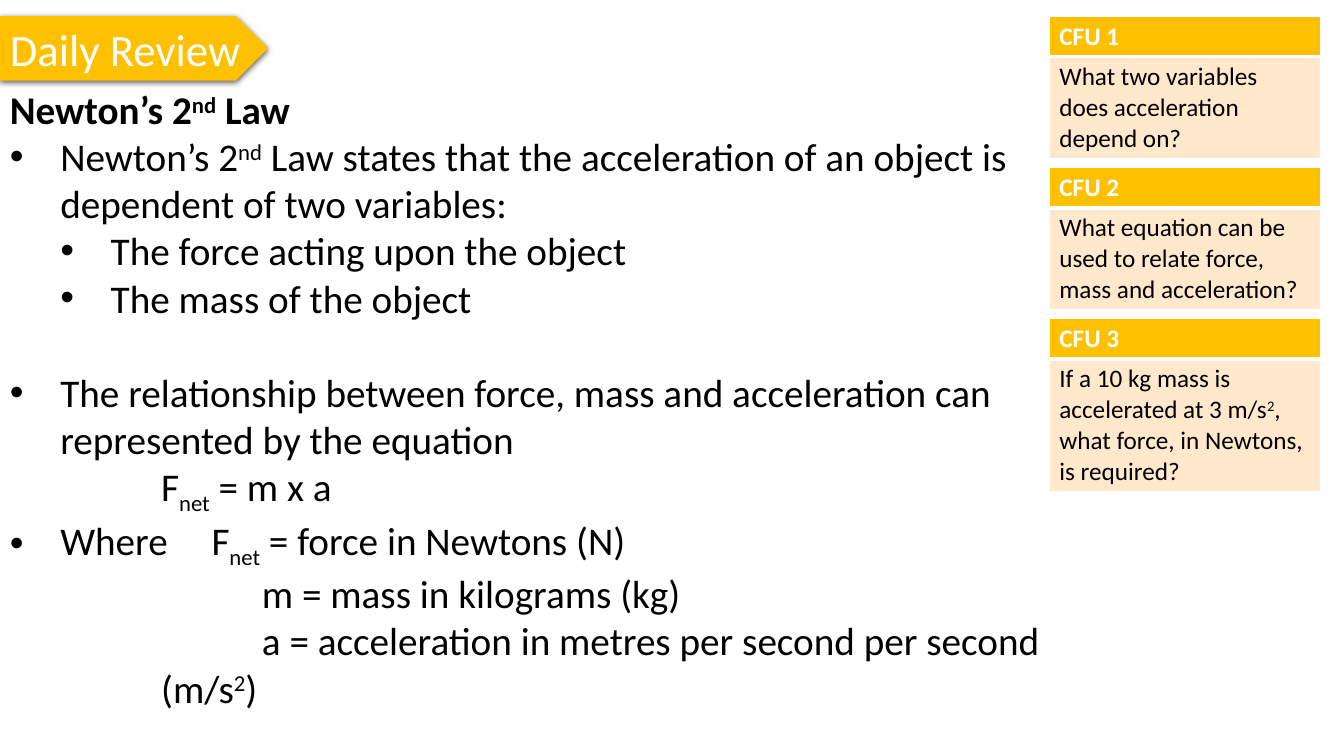
from dataclasses import dataclass

from lxml import etree
from pptx import Presentation
from pptx.dml.color import RGBColor
from pptx.enum.shapes import MSO_SHAPE
from pptx.enum.text import MSO_AUTO_SIZE, PP_ALIGN
from pptx.oxml import parse_xml
from pptx.oxml.ns import nsdecls, qn
from pptx.slide import Slide
from pptx.table import _Cell
from pptx.util import Pt

PENTAGON = MSO_SHAPE.PENTAGON
LEFT = PP_ALIGN.LEFT
GROW = MSO_AUTO_SIZE.SHAPE_TO_FIT_TEXT

AMBER = RGBColor(0xFF, 0xC0, 0x00)
CREAM = RGBColor(0xFF, 0xE8, 0xCC)
WHITE = RGBColor(0xFF, 0xFF, 0xFF)
BLACK = RGBColor(0x00, 0x00, 0x00)

FONT = "Calibri"
SUPER, SUB = 30000, -25000

# Question cards, in points
CARD_LEFT, CARD_TOP, CARD_WIDTH, CARD_PITCH = 749.5, 11.5, 193.7, 108
HEADER_HEIGHT, LINE_HEIGHT, CELL_PADDING = 28, 22, 7


@dataclass
class Piece:
    text: str
    baseline: int = 0


@dataclass
class Line:
    pieces: list[Piece]
    level: int = 0
    left: float = 0
    first: float = 0
    bullet: bool = False
    bold: bool = False
    before: float = 0


@dataclass
class Card:
    title: str
    question: list[Piece]
    lines: int


NOTES = [
    Line([Piece("Newton’s 2"), Piece("nd", SUPER), Piece(" Law")], bold=True),
    Line([Piece("Newton’s 2"), Piece("nd", SUPER),
          Piece(" Law states that the acceleration of an object is "
                "dependent of two variables:")], 0, 36, -36, True),
    Line([Piece("The force acting upon the object")], 1, 72, -36, True),
    Line([Piece("The mass of the object")], 1, 72, -36, True),
    Line([Piece("The relationship between force, mass and acceleration can "
                "represented by the equation")], 0, 36, -36, True, before=34),
    Line([Piece("F"), Piece("net", SUB), Piece(" = m x a")], 3, 108),
    Line([Piece("Where\tF"), Piece("net", SUB),
          Piece(" = force in Newtons (N)")], 0, 36, -36, True),
    Line([Piece("m = mass in kilograms (kg)")], 3, 108, 72),
    Line([Piece("a = acceleration in metres per second per second (m/s"),
          Piece("2", SUPER), Piece(")")], 3, 108, 72),
]

CARDS = [
    Card("CFU 1", [Piece("What two variables does acceleration depend on?")], 3),
    Card("CFU 2", [Piece("What equation can be used to relate force, "
                         "mass and acceleration?")], 3),
    Card("CFU 3", [Piece("If a 10 kg mass is accelerated at 3 m/s"),
                   Piece("2", SUPER),
                   Piece(", what force, in Newtons, is required?")], 4),
]


def add_pieces(p, pieces: list[Piece], size: float, color: RGBColor,
               bold: bool = False) -> None:
    for piece in pieces:
        r = p.add_run()
        r.text = piece.text
        r.font.name = FONT
        r.font.size = Pt(size)
        r.font.bold = bold
        r.font.color.rgb = color
        if piece.baseline:
            r._r.get_or_add_rPr().set("baseline", str(piece.baseline))


def add_banner(s: Slide, text: str) -> None:
    sp = s.shapes.add_shape(PENTAGON, Pt(0), Pt(11.5), Pt(191.5), Pt(46))
    sp.fill.solid()
    sp.fill.fore_color.rgb = AMBER
    sp.line.fill.background()
    sp.shadow.inherit = False
    effects = sp._element.spPr.find(qn("a:effectLst"))
    effects.append(parse_xml(
        f'<a:outerShdw {nsdecls("a")} blurRad="{Pt(4.5)}" dist="{Pt(1.5)}" '
        'dir="5400000" algn="ctr" rotWithShape="0"><a:srgbClr val="000000">'
        '<a:alpha val="63000"/></a:srgbClr></a:outerShdw>'))
    tf = sp.text_frame
    tf.word_wrap = False
    tf.auto_size = GROW
    p = tf.paragraphs[0]
    p.alignment = LEFT
    add_pieces(p, [Piece(text)], 32, WHITE)


def add_notes(s: Slide, notes: list[Line]) -> None:
    tf = s.shapes.add_textbox(Pt(0), Pt(57.6), Pt(792.7), Pt(414.7)).text_frame
    tf.word_wrap = True
    tf.auto_size = GROW
    for i, line in enumerate(notes):
        p = tf.add_paragraph() if i else tf.paragraphs[0]
        p.level = line.level
        if line.before:
            p.space_before = Pt(line.before)
        pPr = p._p.get_or_add_pPr()
        pPr.set("marL", str(Pt(line.left)))
        pPr.set("indent", str(Pt(line.first)))
        if line.bullet:
            etree.SubElement(pPr, qn("a:buFont"), typeface="Arial")
            etree.SubElement(pPr, qn("a:buChar"), char="•")
        add_pieces(p, line.pieces, 28, BLACK, line.bold)


def fill_cell(cell: _Cell, pieces: list[Piece], fill: RGBColor, color: RGBColor,
              bold: bool, top: float, bottom: float) -> None:
    """Write a card cell with white borders; top and bottom are their widths."""
    tcPr = cell._tc.get_or_add_tcPr()
    for side, width in (("L", 1), ("R", 1), ("T", top), ("B", bottom)):
        tcPr.append(parse_xml(
            f'<a:ln{side} {nsdecls("a")} w="{Pt(width)}"><a:solidFill>'
            f'<a:srgbClr val="{WHITE}"/></a:solidFill></a:ln{side}>'))
    cell.fill.solid()
    cell.fill.fore_color.rgb = fill
    add_pieces(cell.text_frame.paragraphs[0], pieces, 18, color, bold)


def add_card(s: Slide, card: Card, top: float) -> None:
    body_height = card.lines * LINE_HEIGHT + CELL_PADDING
    table = s.shapes.add_table(2, 1, Pt(CARD_LEFT), Pt(top), Pt(CARD_WIDTH),
                               Pt(HEADER_HEIGHT + body_height)).table
    table.horz_banding = False
    table.rows[0].height = Pt(HEADER_HEIGHT)
    table.rows[1].height = Pt(body_height)
    fill_cell(table.cell(0, 0), [Piece(card.title)], AMBER, WHITE, True, 1, 3)
    fill_cell(table.cell(1, 0), card.question, CREAM, BLACK, False, 3, 1)


def main() -> None:
    prs = Presentation()
    prs.slide_width, prs.slide_height = Pt(960), Pt(540)
    s = prs.slides.add_slide(prs.slide_layouts[6])
    add_banner(s, "Daily Review")
    add_notes(s, NOTES)
    for i, card in enumerate(CARDS):
        add_card(s, card, CARD_TOP + i * CARD_PITCH)
    prs.save("out.pptx")


if __name__ == "__main__":
    main()
